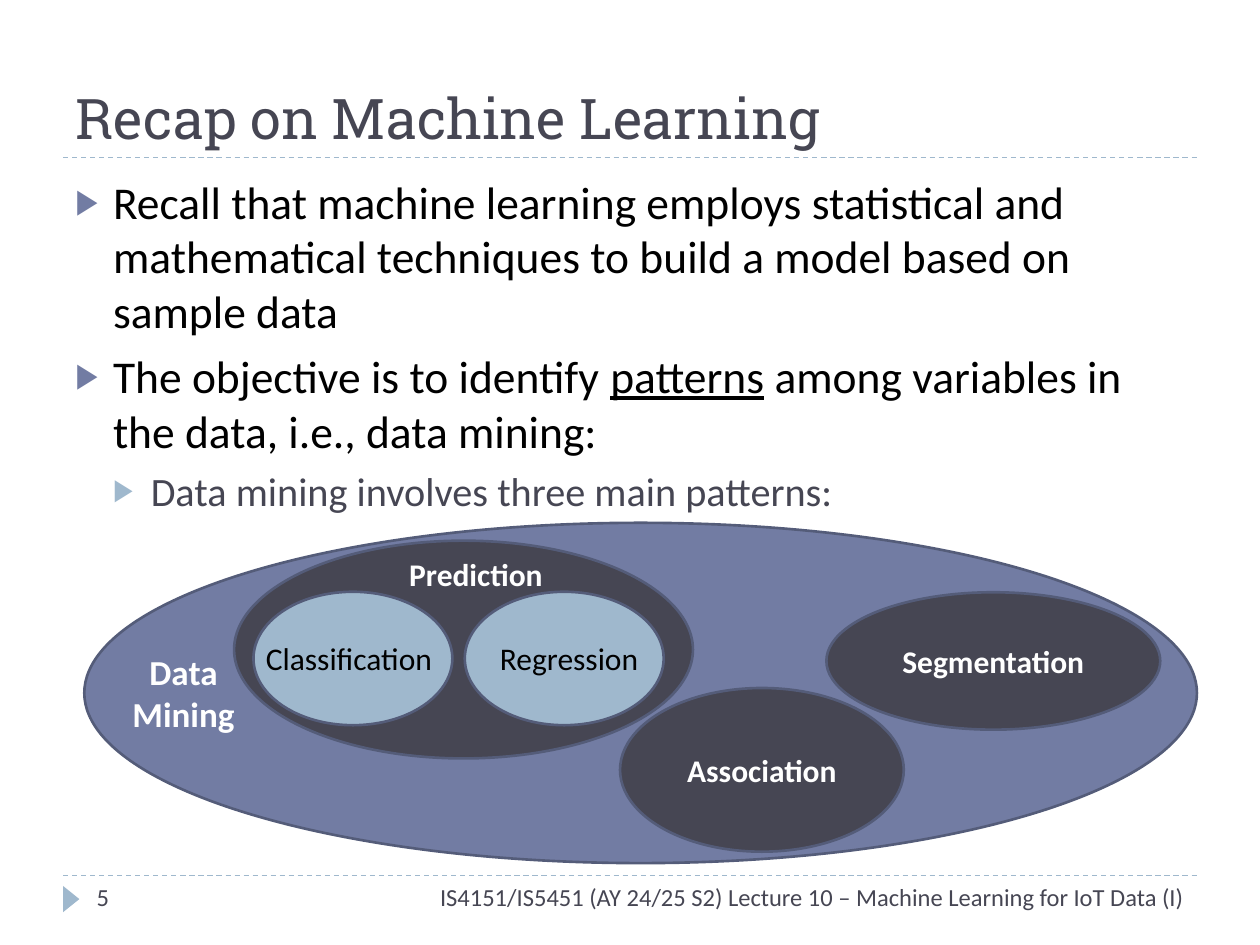
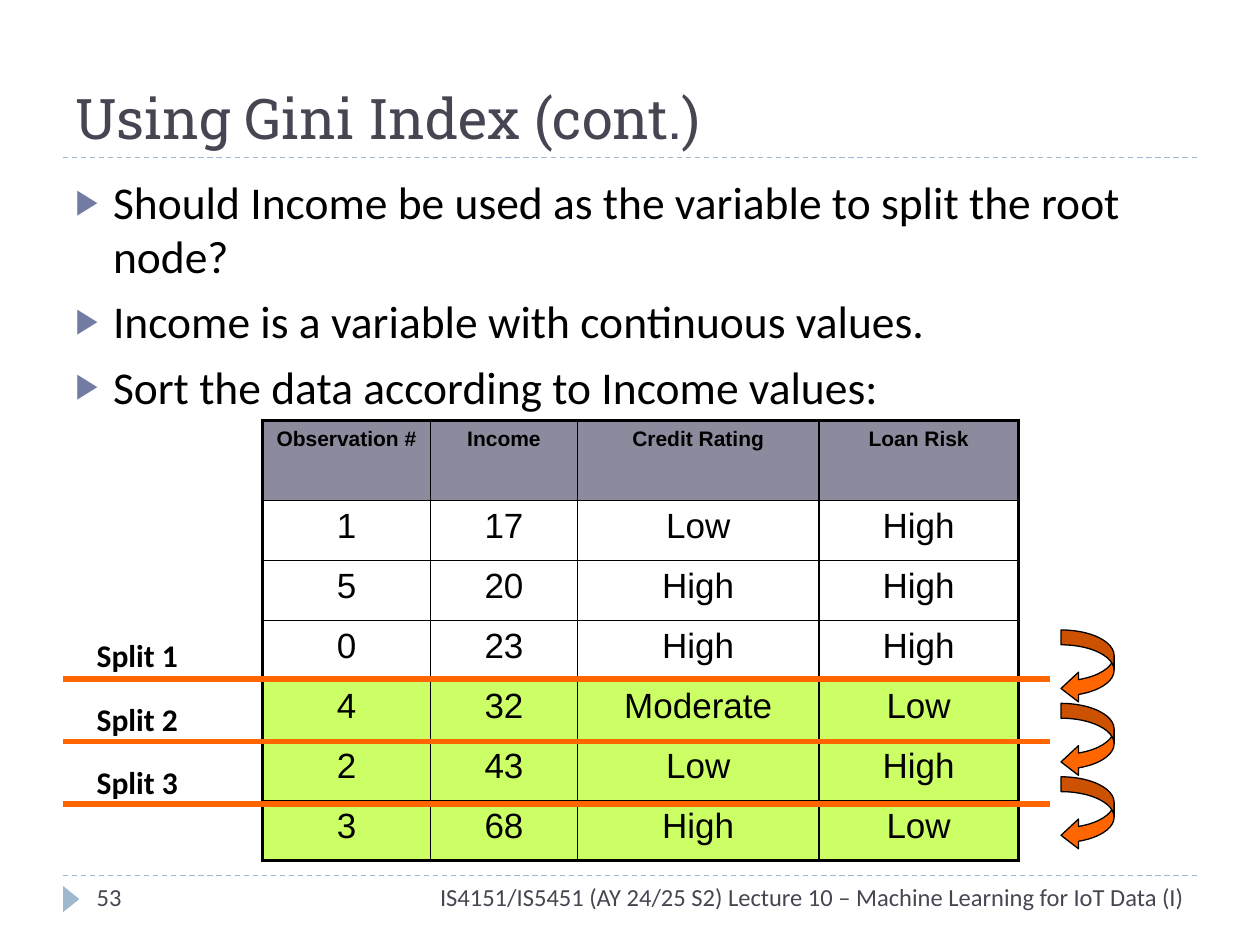
import pptx
import pptx.util
from lxml import etree
from pptx.dml.color import RGBColor
from pptx.enum.dml import MSO_LINE
from pptx.enum.shapes import MSO_CONNECTOR, MSO_SHAPE
from pptx.enum.text import MSO_ANCHOR, PP_ALIGN
from pptx.oxml.ns import qn
from pptx.util import Cm

# Colours
BLACK = RGBColor(0x00, 0x00, 0x00)
WHITE = RGBColor(0xFF, 0xFF, 0xFF)
SLATE = RGBColor(0x46, 0x46, 0x53)
INDIGO = RGBColor(0x72, 0x7C, 0xA3)
DEEP_INDIGO = RGBColor(0x54, 0x5C, 0x79)
PALE_BLUE = RGBColor(0x9F, 0xB8, 0xCD)
HEADER_GREY = RGBColor(0x8B, 0x8B, 0x9D)
LIME = RGBColor(0xCC, 0xFF, 0x66)
ORANGE = RGBColor(0xFF, 0x66, 0x00)


def font_format(name, size, colour, bold=False):
    return {"name": name, "size": pptx.util.Pt(size), "bold": bold, "colour": colour}


# Text formats
TITLE = font_format("Roboto Slab", 32, SLATE)
FOOTER = font_format("Calibri", 14, SLATE)
LABEL = font_format("Calibri", 18, BLACK)
BOLD_LABEL = font_format("Calibri", 18, BLACK, True)
WHITE_LABEL = font_format("Calibri", 18, WHITE, True)
DATA_MINING = font_format("Calibri", 20, WHITE, True)
TABLE_HEAD = font_format("Arial", 12, BLACK, True)
TABLE_BODY = font_format("Arial", 20, BLACK)
BULLETS = [
    {"font": font_format("Calibri", 26, BLACK), "mark": INDIGO, "before": 6},
    {"font": font_format("Calibri", 23, SLATE), "mark": PALE_BLUE, "before": 5},
]

FOOTER_TEXT = "IS4151/IS5451 (AY 24/25 S2) Lecture 10 – Machine Learning for IoT Data (I)"
INDENT = 0.76
LEFT, RIGHT = 1.27, 24.13
TITLE_RULE, FOOTER_RULE = 3.18, 17.65

LOANS = [
    ["Observation #", "Income", "Credit Rating", "Loan Risk"],
    ["1", "17", "Low", "High"],
    ["5", "20", "High", "High"],
    ["0", "23", "High", "High"],
    ["4", "32", "Moderate", "Low"],
    ["2", "43", "Low", "High"],
    ["3", "68", "High", "Low"],
]
LOAN_WIDTHS = [3.39, 2.96, 4.87, 4.02]
HEAD_HEIGHT, ROW_HEIGHT = 1.61, 1.21
FIRST_LIME_ROW = 4


def box(left, top, width, height):
    return Cm(left), Cm(top), Cm(width), Cm(height)


def set_values(target, values):
    for attribute, value in values.items():
        setattr(target, attribute, value)


def write(paragraph, text, style, **extra):
    """Add a run in the given format."""
    run = paragraph.add_run()
    run.text = text
    values = {**style, **extra}
    run.font.color.rgb = values.pop("colour")
    set_values(run.font, values)


def add_text(slide, place, text, style, align=PP_ALIGN.LEFT, wrap=True,
             anchor=MSO_ANCHOR.TOP):
    frame = slide.shapes.add_textbox(*box(*place)).text_frame
    set_values(frame, {"word_wrap": wrap, "vertical_anchor": anchor})
    paragraph = frame.paragraphs[0]
    paragraph.alignment = align
    write(paragraph, text, style)


def add_rule(slide, left, right, y, colour, weight, dash=None):
    rule = slide.shapes.add_connector(
        MSO_CONNECTOR.STRAIGHT, Cm(left), Cm(y), Cm(right), Cm(y))
    rule.line.color.rgb = colour
    set_values(rule.line, {"width": pptx.util.Pt(weight), "dash_style": dash})
    etree.SubElement(rule._element.spPr, qn("a:effectLst"))


def add_figure(slide, kind, place, fill, outline=None, weight=1.5):
    figure = slide.shapes.add_shape(kind, *box(*place))
    figure.shadow.inherit = False
    figure.fill.solid()
    figure.fill.fore_color.rgb = fill
    if outline is None:
        figure.line.fill.background()
    else:
        figure.line.color.rgb = outline
        figure.line.width = pptx.util.Pt(weight)
    return figure


def add_ellipse(slide, place, fill, text=None):
    ellipse = add_figure(slide, MSO_SHAPE.OVAL, place, fill, DEEP_INDIGO)
    if text:
        frame = ellipse.text_frame
        frame.vertical_anchor = MSO_ANCHOR.MIDDLE
        frame.paragraphs[0].alignment = PP_ALIGN.CENTER
        write(frame.paragraphs[0], text, WHITE_LABEL)


def add_bullets(slide, items):
    """Each item is a level and its text pieces; every second piece is underlined."""
    frame = slide.shapes.add_textbox(*box(LEFT, 3.38, RIGHT - LEFT, 14.2)).text_frame
    frame.word_wrap = True
    for index, (level, pieces) in enumerate(items):
        paragraph = frame.add_paragraph() if index else frame.paragraphs[0]
        style = BULLETS[level]
        properties = paragraph._p.get_or_add_pPr()
        properties.set("marL", str(Cm(INDENT * (level + 1))))
        properties.set("indent", str(-Cm(INDENT)))
        mark_colour = etree.SubElement(properties, qn("a:buClr"))
        etree.SubElement(mark_colour, qn("a:srgbClr"), val=str(style["mark"]))
        etree.SubElement(properties, qn("a:buSzPct"), val="76000")
        etree.SubElement(properties, qn("a:buFont"), typeface="Arial")
        etree.SubElement(properties, qn("a:buChar"), char="▶")
        paragraph.level = level
        if index:
            paragraph.space_before = pptx.util.Pt(style["before"])
        for number, piece in enumerate(pieces):
            write(paragraph, piece, style["font"], underline=number % 2 == 1)


def set_borders(cell, edges):
    """Draw the cell's edges, heavier where they lie on the table's rim."""
    for side, on_rim in edges.items():
        weight = pptx.util.Pt(2.25 if on_rim else 1)
        line = etree.SubElement(
            cell._tc.get_or_add_tcPr(), qn(f"a:ln{side}"), w=str(weight))
        paint = etree.SubElement(line, qn("a:solidFill"))
        etree.SubElement(paint, qn("a:srgbClr"), val=str(BLACK))


def add_loan_table(slide):
    last_row, last_column = len(LOANS) - 1, len(LOAN_WIDTHS) - 1
    height = HEAD_HEIGHT + last_row * ROW_HEIGHT
    loans = slide.shapes.add_table(
        len(LOANS), len(LOAN_WIDTHS),
        *box(5.29, 8.48, sum(LOAN_WIDTHS), height)).table
    for column, width in zip(loans.columns, LOAN_WIDTHS):
        column.width = Cm(width)
    for r, values in enumerate(LOANS):
        loans.rows[r].height = Cm(ROW_HEIGHT if r else HEAD_HEIGHT)
        for c, value in enumerate(values):
            cell = loans.cell(r, c)
            set_borders(cell, {"L": c == 0, "R": c == last_column,
                               "T": r == 0, "B": r == last_row})
            if 0 < r < FIRST_LIME_ROW:
                cell.fill.background()
            else:
                cell.fill.solid()
                cell.fill.fore_color.rgb = LIME if r else HEADER_GREY
            paragraph = cell.text_frame.paragraphs[0]
            paragraph.alignment = PP_ALIGN.CENTER
            write(paragraph, value, TABLE_BODY if r else TABLE_HEAD)


def add_page(deck, title, number):
    """Blank slide with the shared title, rules and footer."""
    slide = deck.slides.add_slide(deck.slide_layouts[6])
    for y in (FOOTER_RULE, TITLE_RULE):
        add_rule(slide, LEFT, RIGHT, y, PALE_BLUE, 0.75, MSO_LINE.DASH)
    marker = add_figure(slide, MSO_SHAPE.ISOSCELES_TRIANGLE,
                        (1.17, 17.96, 0.53, 0.33), PALE_BLUE)
    marker.rotation = 90
    add_text(slide, (LEFT, 0.43, RIGHT - LEFT, 2.74), title, TITLE,
             anchor=MSO_ANCHOR.BOTTOM)
    add_text(slide, (3.38, FOOTER_RULE, 20.75, 1.02), FOOTER_TEXT, FOOTER,
             PP_ALIGN.RIGHT)
    add_text(slide, (1.7, FOOTER_RULE, 5.5, 1.02), number, FOOTER)
    return slide


def build_recap(deck):
    slide = add_page(deck, "Recap on Machine Learning", "5")
    add_bullets(slide, [
        (0, ["Recall that machine learning employs statistical and mathematical "
             "techniques to build a model based on sample data"]),
        (0, ["The objective is to identify ", "patterns",
             " among variables in the data, i.e., data mining:"]),
        (1, ["Data mining involves three main patterns:"]),
    ])
    # Nested sets of data mining patterns
    add_ellipse(slide, (1.7, 10.54, 22.43, 6.86), INDIGO)
    add_ellipse(slide, (4.72, 10.9, 9.25, 4.39), SLATE)
    for left in (5.11, 9.37):
        add_ellipse(slide, (left, 11.93, 4.01, 2.69), PALE_BLUE)
    add_text(slide, (1.96, 12.98, 3.48, 1.96), "Data Mining", DATA_MINING,
             PP_ALIGN.CENTER)
    for place, text, style in [
        ((8, 11.07, 3.61, 1.02), "Prediction", WHITE_LABEL),
        ((5.11, 12.75, 3.89, 1.02), "Classification", LABEL),
        ((9.83, 12.75, 3.33, 1.02), "Regression", LABEL),
    ]:
        add_text(slide, place, text, style, wrap=False)
    add_ellipse(slide, (12.5, 13.87, 5.72, 3.3), SLATE, "Association")
    add_ellipse(slide, (16.66, 11.94, 6.73, 2.77), SLATE, "Segmentation")


def build_gini(deck):
    slide = add_page(deck, "Using Gini Index (cont.)", "53")
    add_bullets(slide, [
        (0, ["Should Income be used as the variable to split the root node?"]),
        (0, ["Income is a variable with continuous values."]),
        (0, ["Sort the data according to Income values:"]),
    ])
    add_loan_table(slide)
    # Candidate splits, each with its line, label and arrow
    arrow_height = 1.48
    for i in range(3):
        add_rule(slide, LEFT, 21.16, 13.69 + 1.26 * i, ORANGE, 3)
        add_text(slide, (1.7, 12.7 + 1.28 * i, 2.75, 0.85), f"Split {i + 1}",
                 BOLD_LABEL)
        arrow = add_figure(slide, MSO_SHAPE.CURVED_LEFT_ARROW,
                           (21.39, 12.7 + arrow_height * i, 1.07, arrow_height),
                           ORANGE, BLACK, 0.75)
        for index, share in enumerate((0.28, 0.56, 0.33)):
            arrow.adjustments[index] = share


def main():
    deck = pptx.Presentation()
    set_values(deck, {"slide_width": Cm(25.4), "slide_height": Cm(19.05)})
    build_recap(deck)
    build_gini(deck)
    deck.save("out.pptx")


if __name__ == "__main__":
    main()
